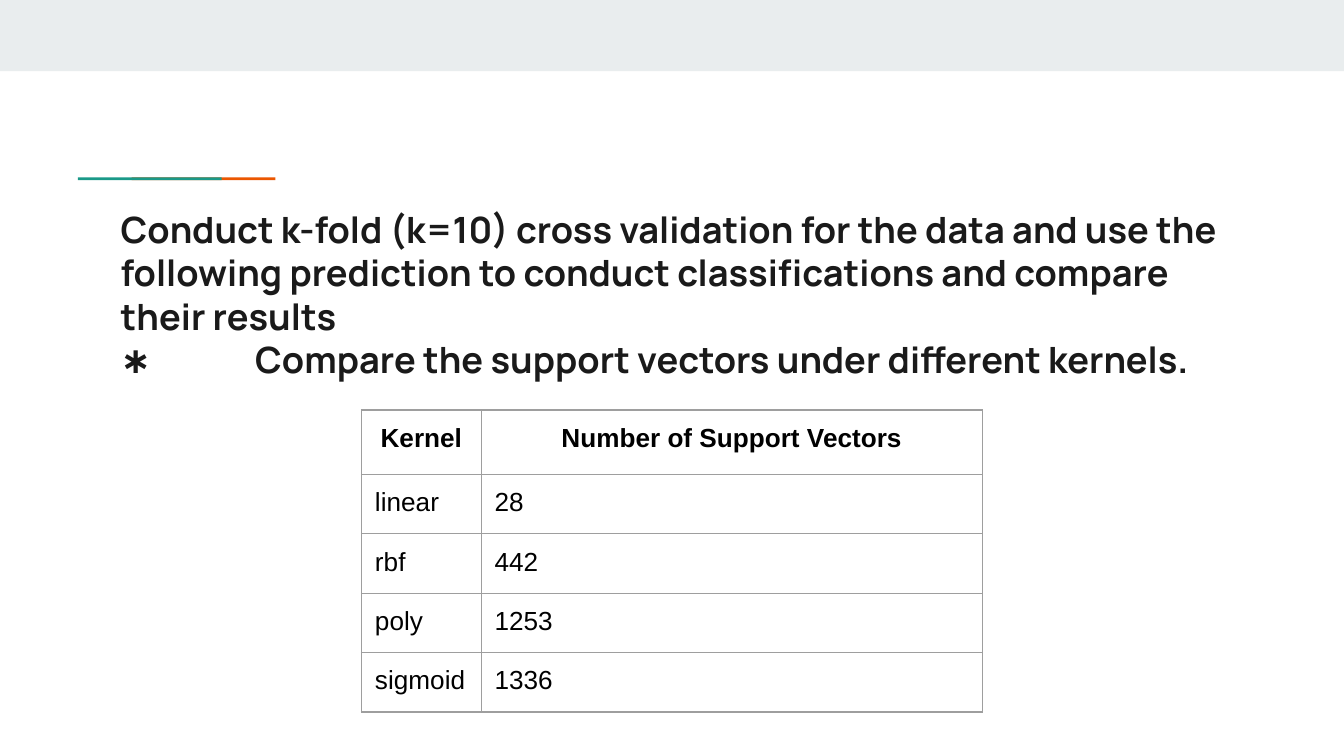
from dataclasses import dataclass

from lxml import etree
from pptx import Presentation
from pptx.dml.color import RGBColor
from pptx.enum.shapes import MSO_SHAPE
from pptx.enum.text import MSO_ANCHOR, PP_ALIGN
from pptx.oxml.ns import qn
from pptx.util import Inches, Pt

RECTANGLE = MSO_SHAPE.RECTANGLE
TOP = MSO_ANCHOR.TOP
LEFT, CENTER = PP_ALIGN.LEFT, PP_ALIGN.CENTER


@dataclass(frozen=True)
class Theme:
    band: str = "E9EDEE"
    teal: str = "1A9988"
    orange: str = "EB5600"
    heading: str = "1A1A1A"
    body: str = "000000"
    border: str = "9E9E9E"
    heading_font: str = "Manrope"
    body_font: str = "Arial"
    heading_size: float = 19.4
    body_size: float = 14
    border_width: float = 0.75
    inset: float = 0.1
    tab_stop: float = 1


THEME = Theme()
HEADING = [
    "Conduct k-fold (k=10) cross validation for the data and use the following "
    "prediction to conduct classifications and compare their results",
    "∗ \tCompare the support vectors under different kernels.",
]
KERNEL_ROWS = [
    ("Kernel", "Number of Support Vectors"),
    ("linear", "28"),
    ("rbf", "442"),
    ("poly", "1253"),
    ("sigmoid", "1336"),
]


def add_bar(slide, left, top, width, height, color):
    bar = slide.shapes.add_shape(
        RECTANGLE, Inches(left), Inches(top), Inches(width), Inches(height)
    )
    bar.shadow.inherit = False
    bar.fill.solid()
    bar.fill.fore_color.rgb = RGBColor.from_string(color)
    bar.line.fill.background()


def add_accent(slide, left, top, width, height):
    bar_width = 1.07
    add_bar(slide, left + width - bar_width, top, bar_width, height, THEME.orange)
    add_bar(slide, left, top, bar_width, height, THEME.teal)


def set_insets(target):
    target.margin_left = target.margin_right = Inches(THEME.inset)
    target.margin_top = target.margin_bottom = Inches(THEME.inset)


def style_runs(paragraph, font_name, size, color, bold):
    for run in paragraph.runs:
        run.font.name = font_name
        run.font.size = Pt(size)
        run.font.bold = bold
        run.font.color.rgb = RGBColor.from_string(color)


def set_tab_stop(paragraph):
    tab_list = etree.SubElement(paragraph._p.get_or_add_pPr(), qn("a:tabLst"))
    position = str(Inches(THEME.tab_stop))
    etree.SubElement(tab_list, qn("a:tab"), pos=position, algn="l")


def add_heading(slide, left, top, width, height):
    box = slide.shapes.add_textbox(
        Inches(left), Inches(top), Inches(width), Inches(height)
    )
    frame = box.text_frame
    frame.word_wrap = True
    frame.vertical_anchor = TOP
    set_insets(frame)
    frame.text = "\n".join(HEADING)
    for paragraph in frame.paragraphs:
        paragraph.line_spacing = 1.0
        set_tab_stop(paragraph)
        style_runs(
            paragraph, THEME.heading_font, THEME.heading_size, THEME.heading, True
        )


def set_borders(cell):
    properties = cell._tc.get_or_add_tcPr()
    for position, side in enumerate(("a:lnL", "a:lnR", "a:lnT", "a:lnB")):
        line = etree.Element(qn(side), w=str(Pt(THEME.border_width)))
        fill = etree.SubElement(line, qn("a:solidFill"))
        etree.SubElement(fill, qn("a:srgbClr"), val=THEME.border)
        properties.insert(position, line)


def add_kernel_table(slide, left, top, width, height):
    row_count = len(KERNEL_ROWS)
    header_height, kernel_width = 0.48, 0.89
    row_height = (height - header_height) / (row_count - 1)
    table = slide.shapes.add_table(
        row_count, 2, Inches(left), Inches(top), Inches(width), Inches(height)
    ).table
    table.horz_banding = False
    table.columns[0].width = Inches(kernel_width)
    table.columns[1].width = Inches(width - kernel_width)
    for row_index, values in enumerate(KERNEL_ROWS):
        is_header = row_index == 0
        table.rows[row_index].height = Inches(header_height if is_header else row_height)
        for column_index, value in enumerate(values):
            cell = table.cell(row_index, column_index)
            cell.fill.background()
            set_borders(cell)
            set_insets(cell)
            cell.vertical_anchor = TOP
            cell.text_frame.text = value
            paragraph = cell.text_frame.paragraphs[0]
            paragraph.alignment = CENTER if is_header else LEFT
            style_runs(
                paragraph, THEME.body_font, THEME.body_size, THEME.body, is_header
            )


def main():
    presentation = Presentation()
    presentation.slide_width = Inches(10)
    presentation.slide_height = presentation.slide_width * 9 // 16
    slide = presentation.slides.add_slide(presentation.slide_layouts[6])
    add_bar(slide, 0, 0, 10, 0.53, THEME.band)
    add_accent(slide, 0.58, 1.32, 1.47, 0.02)
    add_heading(slide, 0.8, 1.44, 8.41, 0.59)
    add_kernel_table(slide, 2.69, 3.05, 4.62, 2.25)
    presentation.save("out.pptx")


if __name__ == "__main__":
    main()
